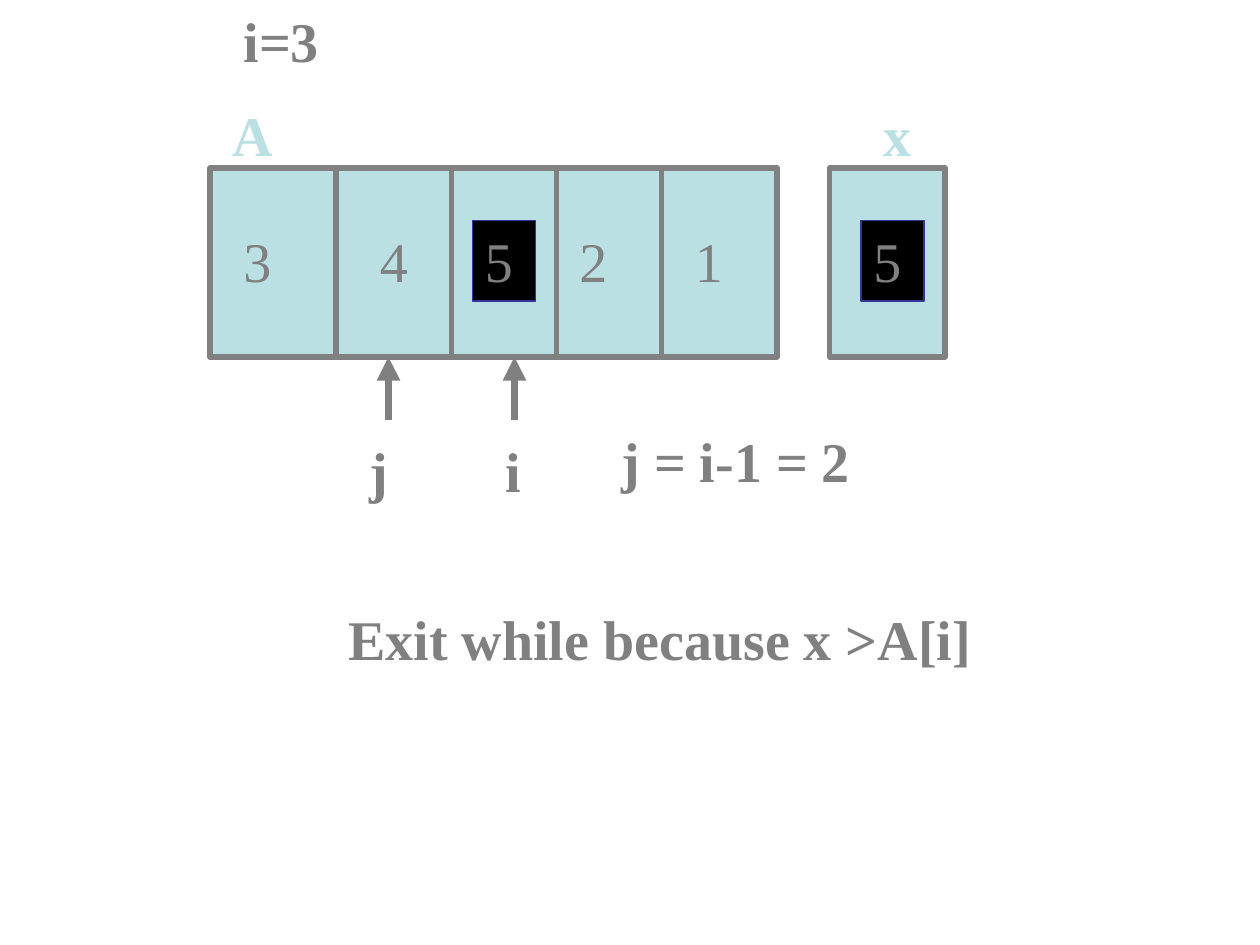
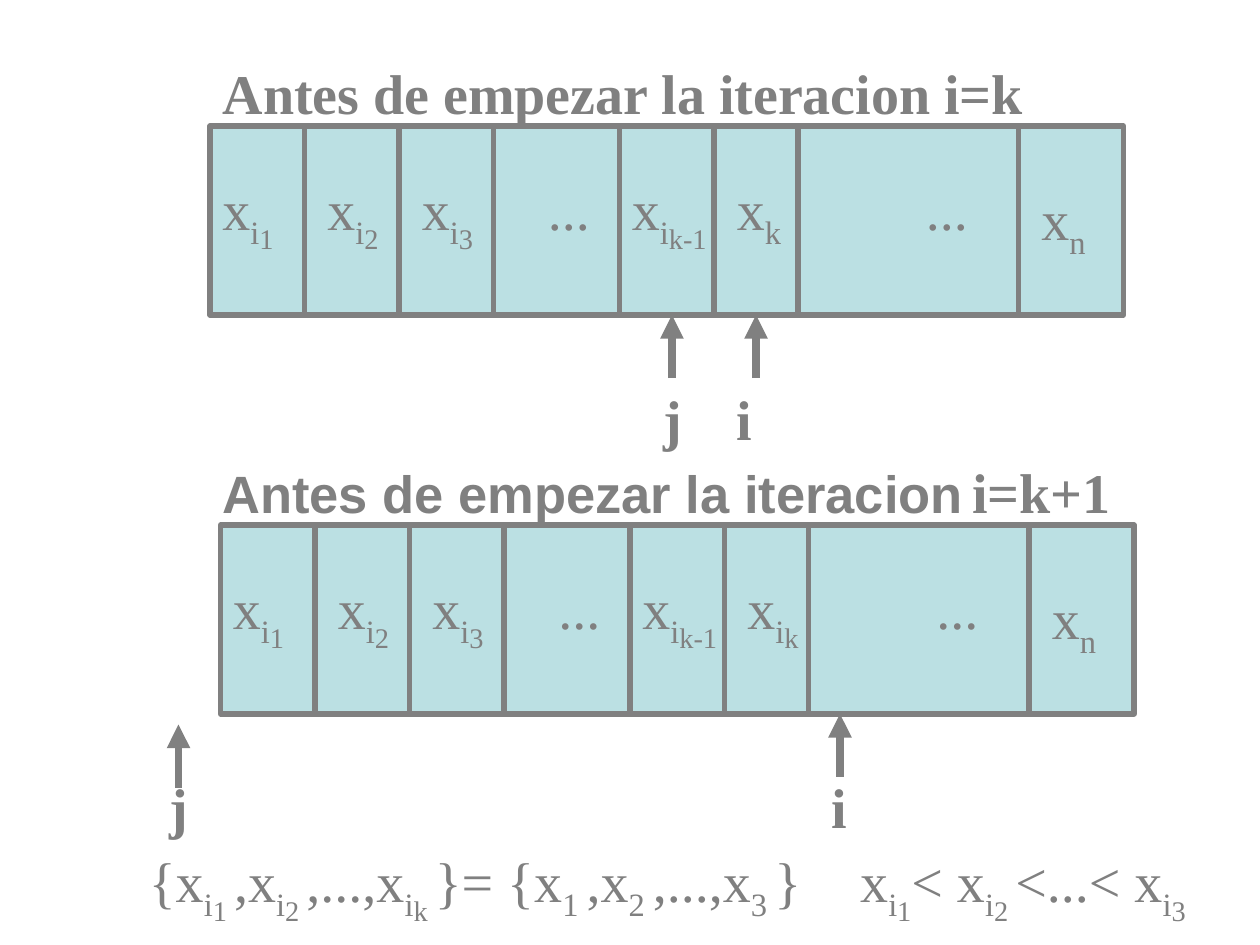
from lxml import etree
from pptx import Presentation
from pptx.dml.color import RGBColor
from pptx.enum import shapes, text
from pptx.oxml import ns
from pptx.util import Pt

GRAY = RGBColor(0x80, 0x80, 0x80)
PALE_TEAL = RGBColor(0xBB, 0xE0, 0xE3)
BLACK = RGBColor(0, 0, 0)
INDIGO = RGBColor(0x33, 0x33, 0x99)

SERIF, SANS = "Times New Roman", "Arial"
BODY_SIZE = 32
LINE_HEIGHT = 46
SUBSCRIPT_HEIGHT = 54
ARRAY_HEIGHT = 108
POINTER_LENGTH = 36

# Size and baseline shift of plain text, a subscript and a second subscript
LEVELS = ((32, 0), (32, -25), (28, -40))

# Array cells: width, text inset, text width, value parts by level
NUMBER_CELLS = (
    (72, 12, 54, ("3",)),
    (66, 18, 54, ("4",)),
    (60, 12, 36, ("5",)),
    (60, 6, 54, ("2",)),
    (66, 12, 54, ("1",)),
)
CURRENT_CELL = 2


def sequence_cells(k_value):
    return (
        (54, 0, 48, ("x", "i", "1")),
        (54, 6, 48, ("x", "i", "2")),
        (54, 6, 48, ("x", "i", "3")),
        (72, 24, 54, ("...",)),
        (54, 0, 66, ("x", "i", "k-1")),
        (48, 6, 66, k_value),
        (126, 66, 54, ("...",)),
        (60, 6, 54, ("x", "n")),
    )


# Text
def add_run(paragraph, wording, size=BODY_SIZE, bold=False, color=GRAY,
            font=SERIF, baseline=0):
    run = paragraph.add_run()
    run.text = wording
    run.font.size = Pt(size)
    run.font.bold = bold
    run.font.name = font
    run.font.color.rgb = color
    if baseline:
        run.font._element.set("baseline", str(baseline * 1000))


def prepare_frame(frame):
    frame.word_wrap = True
    frame.auto_size = text.MSO_AUTO_SIZE.NONE
    frame.vertical_anchor = text.MSO_ANCHOR.TOP
    paragraph = frame.paragraphs[0]
    paragraph.alignment = text.PP_ALIGN.LEFT
    paragraph.space_before = Pt(0)
    return paragraph


def add_text_box(slide, left, top, width, height=LINE_HEIGHT):
    box = slide.shapes.add_textbox(Pt(left), Pt(top), Pt(width), Pt(height))
    return prepare_frame(box.text_frame)


def add_label(slide, wording, left, top, width, color=GRAY):
    paragraph = add_text_box(slide, left, top, width)
    add_run(paragraph, wording, bold=True, color=color)


def add_formula(slide, terms, left, top, width):
    subscripted = any(len(term) > 1 for term in terms)
    height = SUBSCRIPT_HEIGHT if subscripted else LINE_HEIGHT
    paragraph = add_text_box(slide, left, top, width, height)
    for term in terms:
        for part, (size, baseline) in zip(term, LEVELS):
            add_run(paragraph, part, size, baseline=baseline)


def add_titled_slide(deck, title, left, top, width):
    slide = deck.slides.add_slide(deck.slide_layouts[5])
    heading = slide.shapes.title
    heading.left, heading.top = Pt(left), Pt(top)
    heading.width, heading.height = Pt(width), Pt(LINE_HEIGHT)
    add_run(prepare_frame(heading.text_frame), title, bold=True)
    return slide


# Boxes and lines
def add_box(slide, left, top, width, height, fill, line, line_width):
    box = slide.shapes.add_shape(shapes.MSO_SHAPE.RECTANGLE, Pt(left), Pt(top),
                                 Pt(width), Pt(height))
    box.shadow.inherit = False
    box.fill.solid()
    box.fill.fore_color.rgb = fill
    box.line.color.rgb = line
    box.line.width = Pt(line_width)
    return box


def add_line(slide, x, start_y, end_y, width, arrow=False):
    line = slide.shapes.add_connector(shapes.MSO_CONNECTOR.STRAIGHT,
                                      Pt(x), Pt(start_y), Pt(x), Pt(end_y))
    line.line.color.rgb = GRAY
    line.line.width = Pt(width)
    properties = line._element.spPr
    if arrow:
        outline = properties.find(ns.qn("a:ln"))
        etree.SubElement(outline, ns.qn("a:tailEnd"), type="triangle")
    etree.SubElement(properties, ns.qn("a:effectLst"))


def add_frame(slide, left, top, width):
    add_box(slide, left, top, width, ARRAY_HEIGHT, PALE_TEAL, GRAY, 3)


def add_highlight(slide, value, left, top):
    box = add_box(slide, left, top, 36, LINE_HEIGHT, BLACK, INDIGO, 0.75)
    add_run(prepare_frame(box.text_frame), value)


def add_array(slide, left, top, cells, text_drop, highlighted=None):
    add_frame(slide, left, top, sum(cell[0] for cell in cells))
    x = left
    for index, (width, inset, text_width, value) in enumerate(cells):
        if index:
            add_line(slide, x, top, top + ARRAY_HEIGHT, 3)
        # The last element x_n sits slightly lower than the others
        drop = text_drop + (6 if value == ("x", "n") else 0)
        if index == highlighted:
            add_highlight(slide, value[0], x + inset, top + drop)
        else:
            add_formula(slide, [value], x + inset, top + drop, text_width)
        x += width


def add_pointer(slide, name, x, tip_y, label_left, label_top):
    add_line(slide, x, tip_y + POINTER_LENGTH, tip_y, 4.5, arrow=True)
    add_label(slide, name, label_left, label_top, 30)


# Slides
def build_loop_exit(deck):
    slide = add_titled_slide(deck, "i=3", 132, 0, 312)
    add_array(slide, 120, 96, NUMBER_CELLS, 30, CURRENT_CELL)
    add_frame(slide, 474, 96, 66)
    add_highlight(slide, "5", 492, 126)
    add_label(slide, "A", 126, 54, 42, PALE_TEAL)
    add_label(slide, "x", 498, 54, 30, PALE_TEAL)
    add_pointer(slide, "j", 222, 204, 204, 246)
    add_pointer(slide, "i", 294, 204, 282, 246)
    add_label(slide, "j = i-1 = 2", 348, 240, 150)
    add_label(slide, "Exit while because x >A[i]", 192, 342, 380)


def build_invariant(deck):
    slide = add_titled_slide(deck, "Antes de empezar la iteracion i=k",
                             120, 30, 522)

    # Before iteration k
    add_array(slide, 120, 72, sequence_cells(("x", "k")), 24)
    add_pointer(slide, "j", 384, 180, 372, 216)
    add_pointer(slide, "i", 432, 180, 414, 216)

    # Before iteration k+1
    heading = add_text_box(slide, 120, 258, 600)
    add_run(heading, "Antes de empezar la iteracion", 30, True, font=SANS)
    add_run(heading, " ", 18, font=SANS)
    add_run(heading, "i=k+1", bold=True)
    add_array(slide, 126, 300, sequence_cells(("x", "i", "k")), 24)
    add_pointer(slide, "j", 102, 414, 90, 438)
    add_pointer(slide, "i", 480, 408, 468, 438)

    # Same elements, in order
    add_formula(slide, [("{x", "i", "1 "), (",x", "i", "2 "),
                        (",...,x", "i", "k "), ("}= {x", "1 "), (",x", "2 "),
                        (",...,x", "3", " "), ("}",)], 78, 480, 426)
    add_formula(slide, [("x", "i", "1"), ("< x", "i", "2 "),
                        ("<...< x", "i", "3")], 484.5, 480, 210)


def main():
    deck = Presentation()
    deck.slide_width, deck.slide_height = Pt(720), Pt(540)
    build_loop_exit(deck)
    build_invariant(deck)
    deck.save("out.pptx")


if __name__ == "__main__":
    main()
